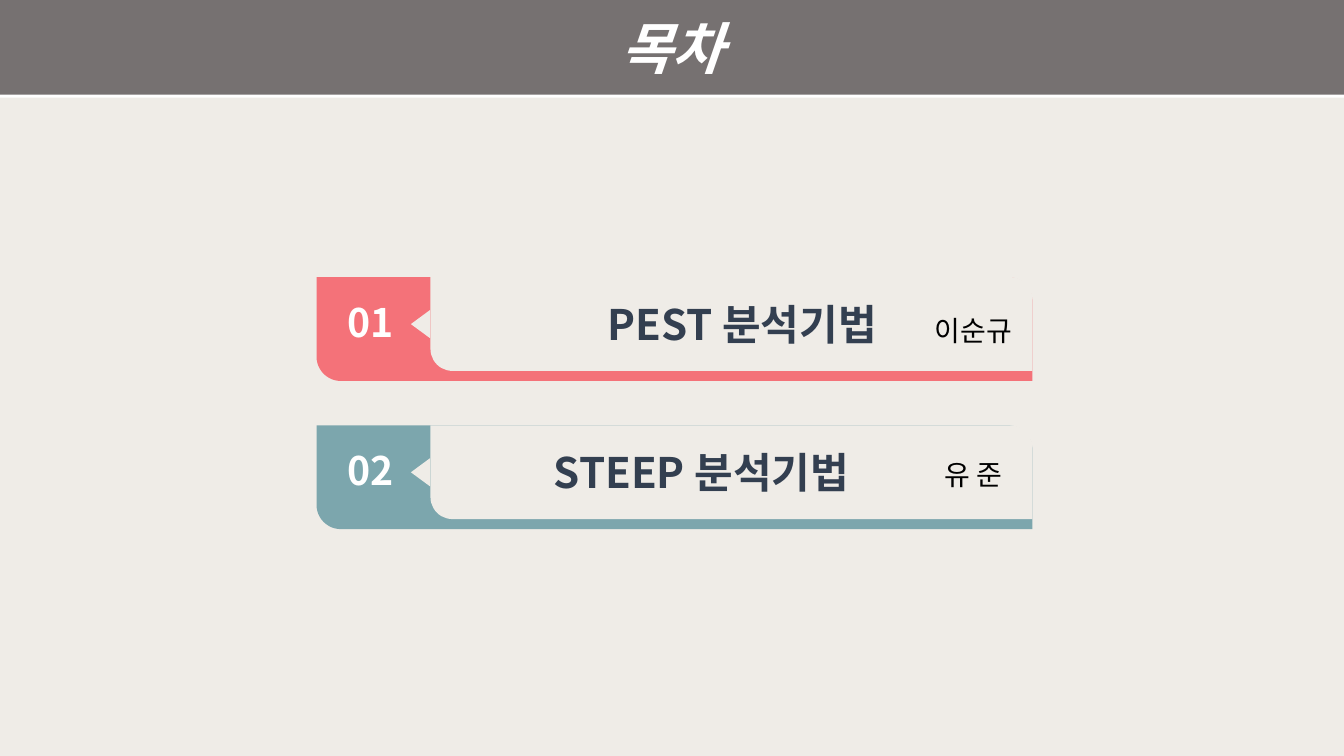
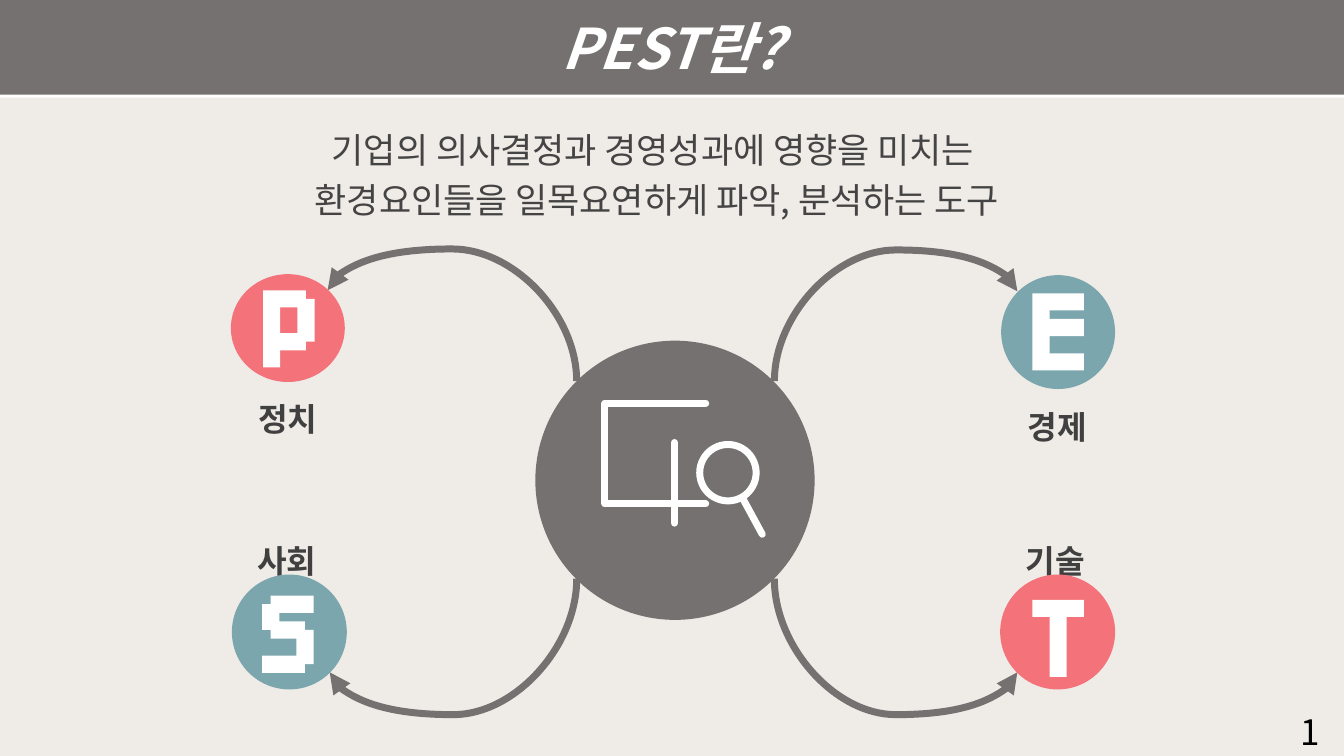
"""Build a contents slide and a PEST overview slide."""
from lxml import etree
from pptx import Presentation
from pptx.dml.color import RGBColor
from pptx.enum import shapes, text
from pptx.oxml import ns
from pptx.util import Inches, Pt

FONT = "Noto Sans CJK KR"
COLORS = {
    "paper": "EFECE7", "gray": "767171", "red": "F47279", "teal": "7CA6AD",
    "white": "FFFFFF", "navy": "333F50", "body": "444444", "label": "404040",
    "black": "000000",
}
KIND = shapes.MSO_SHAPE
CENTER = text.PP_ALIGN.CENTER
MIDDLE = text.MSO_ANCHOR.MIDDLE

TOPICS = [
    {"no": "01", "name": "PEST 분석기법", "by": "이순규", "color": "red",
     "top": 2.75, "indent": 1.69, "by_top": 3.06},
    {"no": "02", "name": "STEEP 분석기법", "by": "유 준", "color": "teal",
     "top": 4.22, "indent": 1.16, "by_top": 4.49},
]
INTRO = ["기업의 의사결정과 경영성과에 영향을 미치는 ",
         "환경요인들을 일목요연하게 파악, 분석하는 도구"]
FACTORS = [
    {"name": "정치", "label": (0.52, 3.72, 4.67, 0.52), "color": "red",
     "disc": (2.29, 2.72, 1.13, 1.07), "glyph": "P", "at": (2.61, 2.88),
     "arc": ((5.72, 3.78), (3.25, 2.88), 2.47)},
    {"name": "경제", "label": (8.08, 3.8, 4.82, 0.53), "color": "teal",
     "disc": (9.93, 2.73, 1.13, 1.13), "glyph": "E", "at": (10.24, 2.91),
     "arc": ((7.68, 3.78), (10.09, 2.89), 2.48)},
    {"name": "사회", "label": (0.51, 5.13, 4.67, 0.48), "color": "teal",
     "disc": (2.3, 5.7, 1.14, 1.14), "glyph": "S", "at": (2.6, 5.91),
     "arc": ((5.72, 5.74), (3.27, 6.67), 7.09)},
    {"name": "기술", "label": (8.05, 5.13, 4.84, 0.51), "color": "red",
     "disc": (9.92, 5.7, 1.14, 1.14), "glyph": "T", "at": (10.24, 5.95),
     "arc": ((7.68, 5.74), (10.09, 6.67), 7.09)},
]
CELL = 0.085
GLYPHS = {
    "P": [[(0, 0), (5, 0), (5, 1), (6, 1), (6, 6), (5, 6), (5, 7), (2, 7),
           (2, 9), (0, 9)],
          [(4, 5), (4, 2), (2, 2), (2, 5)]],
    "E": [[(0, 0), (6, 0), (6, 2), (2, 2), (2, 3), (6, 3), (6, 5), (2, 5),
           (2, 7), (6, 7), (6, 9), (0, 9)]],
    "S": [[(1, 0), (6, 0), (6, 2), (2, 2), (2, 3), (5, 3), (5, 4), (6, 4),
           (6, 8), (5, 8), (5, 9), (0, 9), (0, 7), (4, 7), (4, 5), (1, 5),
           (1, 4), (0, 4), (0, 1), (1, 1)]],
    "T": [[(0, 0), (6, 0), (6, 2), (4, 2), (4, 9), (2, 9), (2, 2), (0, 2)]],
}
BOOK = [
    [(7.36, 4.4)],
    [(7.36, 4.24)],
    [(7.21, 4.23), (7.09, 4.12), (6.91, 4.12)],
    [(6.83, 4.12), (6.76, 4.15), (6.69, 4.22)],
    [(6.62, 4.15), (6.55, 4.12), (6.47, 4.12)],
    [(6.29, 4.12), (6.17, 4.23), (6.02, 4.24)],
    [(6.02, 5.18)],
    [(6.22, 5.17), (6.32, 5.08), (6.43, 5.09)],
    [(6.52, 5.08), (6.6, 5.11), (6.69, 5.2)],
    [(6.78, 5.11), (6.85, 5.08), (6.93, 5.09)],
    [(7.03, 5.1), (7.12, 5.15), (7.22, 5.17)],
]
STROKES = [((6.69, 4.39), (6.69, 5.19)), ((7.37, 4.95), (7.56, 5.3))]


def rgb(name):
    return RGBColor.from_string(COLORS[name])


def inch(vals):
    return [Inches(val) for val in vals]


def sub(node, tag, **attrs):
    return etree.SubElement(node, ns.qn(tag), attrs)


def write(shape, lines, size, color, bold=False, italic=False, align=None,
          space=None, anchor=None):
    frame = shape.text_frame
    frame.word_wrap = True
    frame.auto_size = text.MSO_AUTO_SIZE.NONE
    frame.vertical_anchor = anchor
    frame.text = "\n".join(lines)
    for para in frame.paragraphs:
        para.alignment = align
        para.line_spacing = space
        font = para.font
        font.size, font.bold, font.italic = Pt(size), bold, italic
        font.color.rgb = rgb(color)
        font.name = FONT
        sub(para._p.pPr.find(ns.qn("a:defRPr")), "a:ea", typeface=FONT)
    return frame


def label(slide, box, lines, size, color, **style):
    return write(slide.shapes.add_textbox(*inch(box)), lines, size, color,
                 **style)


def paint(shape, color):
    shape.shadow.inherit = False
    shape.fill.solid()
    shape.fill.fore_color.rgb = rgb(color)
    shape.line.fill.background()
    return shape


def block(slide, kind, box, color):
    return paint(slide.shapes.add_shape(kind, *inch(box)), color)


def stroke(shape, color):
    shape.line.color.rgb = rgb(color)
    shape.line.width = Pt(5)
    return shape.line._get_or_add_ln()


def wire(slide, kind, start, end, color):
    line = slide.shapes.add_connector(kind, *inch(start + end))
    edge = stroke(line, color)
    sub(line._element.spPr, "a:effectLst")
    return line, edge


def new_slide(prs, title):
    slide = prs.slides.add_slide(prs.slide_layouts[5])
    band = slide.shapes.title
    band.left, band.top, band.width, band.height = inch((0, 0, 13.33, 0.94))
    band.fill.solid()
    band.fill.fore_color.rgb = rgb("gray")
    glow = sub(sub(band._element.spPr, "a:effectLst"), "a:outerShdw",
               dist=str(Pt(2)), dir="5400000", algn="t", rotWithShape="0")
    sub(glow, "a:srgbClr", val=COLORS["white"])
    write(band, [title], 40, "white", bold=True, italic=True, align=CENTER,
          anchor=MIDDLE)
    return slide


def leaf(slide, box, color):
    shape = block(slide, KIND.ROUND_2_DIAG_RECTANGLE, box, color)
    shape.adjustments[0], shape.adjustments[1] = 0.234, 0
    shape._element.spPr.find(ns.qn("a:xfrm")).set("flipH", "1")
    return shape


def add_topic(slide, topic):
    top = topic["top"]
    tab = leaf(slide, (3.14, top, 7.1, 1.03), topic["color"])
    frame = write(tab, [topic["no"]], 28, "white", bold=True, anchor=MIDDLE,
                  align=text.PP_ALIGN.LEFT)
    frame.margin_left, frame.margin_bottom = inch((0.24, 0.2))
    face = leaf(slide, (4.27, top, 5.97, 0.93), "paper")
    frame = write(face, [topic["name"]], 30, "navy", bold=True, anchor=MIDDLE,
                  align=text.PP_ALIGN.LEFT)
    frame.margin_left = Inches(topic["indent"])
    notch = block(slide, KIND.ISOSCELES_TRIANGLE,
                  (4.03, top + 0.37, 0.28, 0.19), "paper")
    notch.rotation = 270


def add_arc(slide, start, end, peak):
    (x1, y1), (x2, y2) = start, end
    midx, midy = (x1 + x2) / 2, (y1 + y2) / 2
    dx, dy = (y2 - y1) / 2, (x1 - x2) / 2
    line, edge = wire(slide, shapes.MSO_CONNECTOR.CURVE,
                      (midx - dx, midy - dy), (midx + dx, midy + dy), "gray")
    sub(edge, "a:tailEnd", type="triangle")
    props = line._element.spPr
    props.find(ns.qn("a:xfrm")).set("rot", "5400000")
    bend = round((peak - y1) / (y2 - y1) * 100000)
    sub(props.find(".//" + ns.qn("a:avLst")), "a:gd", name="adj1",
        fmla=f"val {bend}")


def add_glyph(slide, loops, at):
    first, *rest = loops
    pen = slide.shapes.build_freeform(*first[0], scale=Inches(CELL))
    pen.add_line_segments(first[1:], close=True)
    for loop in rest:
        pen.move_to(*loop[0])
        pen.add_line_segments(loop[1:], close=True)
    paint(pen.convert_to_shape(*inch(at)), "white")


def trace(parts, steps=8):
    dots = []
    for part in parts:
        if len(part) == 1:
            dots += part
            continue
        knots = [dots[-1], *part]
        for step in range(1, steps + 1):
            t = step / steps
            mix = ((1 - t) ** 3, 3 * t * (1 - t) ** 2, 3 * t * t * (1 - t),
                   t ** 3)
            dots.append(tuple(sum(m * k[axis] for m, k in zip(mix, knots))
                              for axis in (0, 1)))
    return dots


def add_icon(slide):
    dots = trace(BOOK)
    pen = slide.shapes.build_freeform(*dots[0], scale=Inches(1))
    pen.add_line_segments(dots[1:], close=False)
    book = pen.convert_to_shape()
    lens = slide.shapes.add_shape(KIND.OVAL, *inch((6.94, 4.41, 0.56, 0.56)))
    for shape in (book, lens):
        shape.shadow.inherit = False
        shape.fill.background()
        edge = stroke(shape, "white")
        edge.set("cap", "rnd")
        sub(edge, "a:round")
    for start, end in STROKES:
        edge = wire(slide, shapes.MSO_CONNECTOR.STRAIGHT, start, end,
                    "white")[1]
        edge.set("cap", "rnd")


def add_contents(prs):
    slide = new_slide(prs, "목차")
    for topic in TOPICS:
        add_topic(slide, topic)
        label(slide, (9.12, topic["by_top"], 1.07, 0.44), [topic["by"]], 20,
              "black", align=CENTER)


def add_pest(prs):
    slide = new_slide(prs, "PEST란?")
    label(slide, (2.54, 1.14, 7.95, 1.06), INTRO, 25, "body", align=CENTER,
          space=1.2)
    block(slide, KIND.OVAL, (5.31, 3.38, 2.77, 2.77), "gray")
    for factor in FACTORS:
        label(slide, factor["label"], [factor["name"]], 23, "label",
              bold=True, align=CENTER, space=1.5)
        add_arc(slide, *factor["arc"])
        block(slide, KIND.OVAL, factor["disc"], factor["color"])
        add_glyph(slide, GLYPHS[factor["glyph"]], factor["at"])
    add_icon(slide)
    label(slide, (12.8, 7.06, 0.82, 0.4), ["1"], 25, "black", anchor=MIDDLE)


def main():
    prs = Presentation()
    prs.slide_width, prs.slide_height = inch((13.33, 7.5))
    back = prs.slide_master.background.fill
    back.solid()
    back.fore_color.rgb = rgb("paper")
    add_contents(prs)
    add_pest(prs)
    prs.save("out.pptx")


if __name__ == "__main__":
    main()
